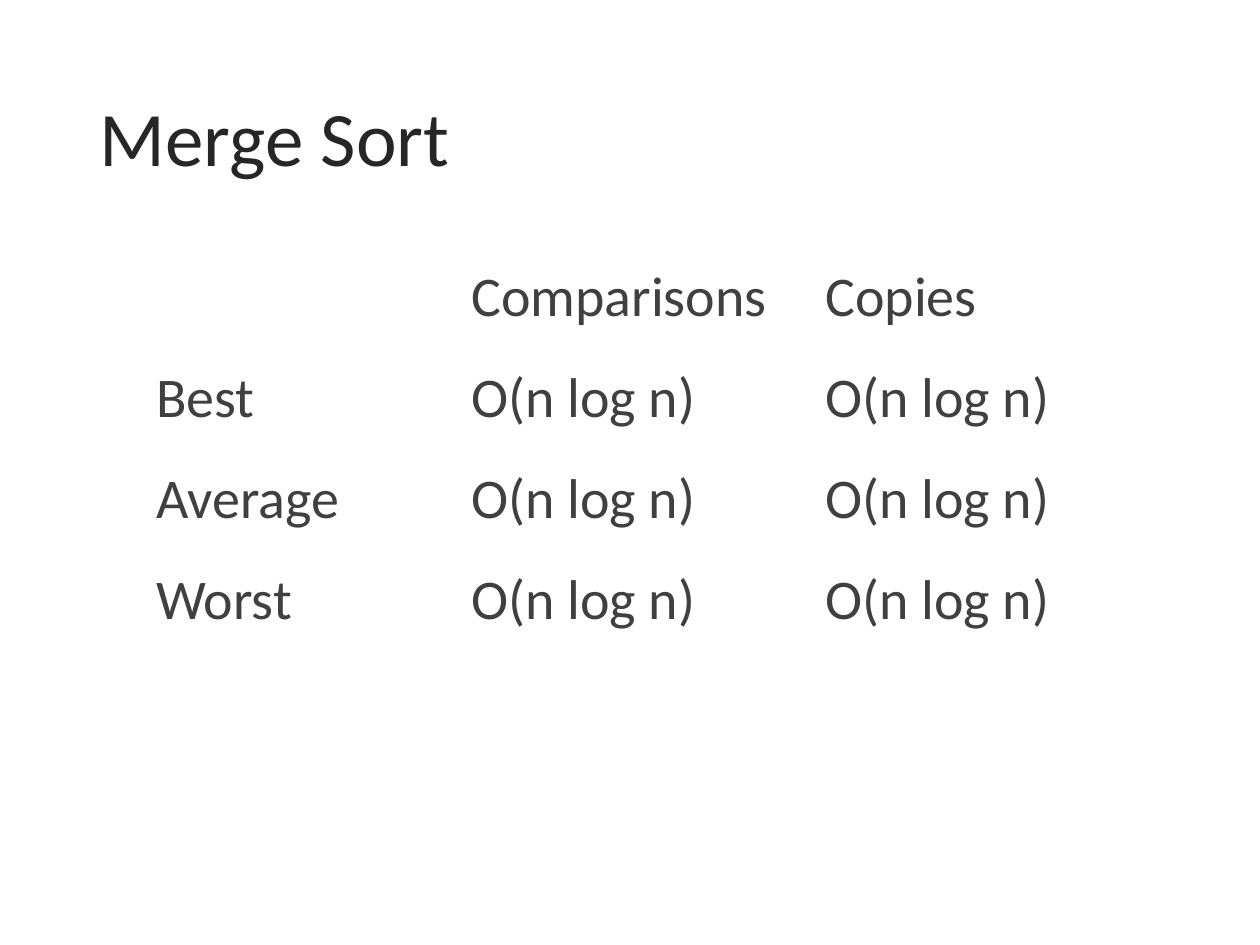
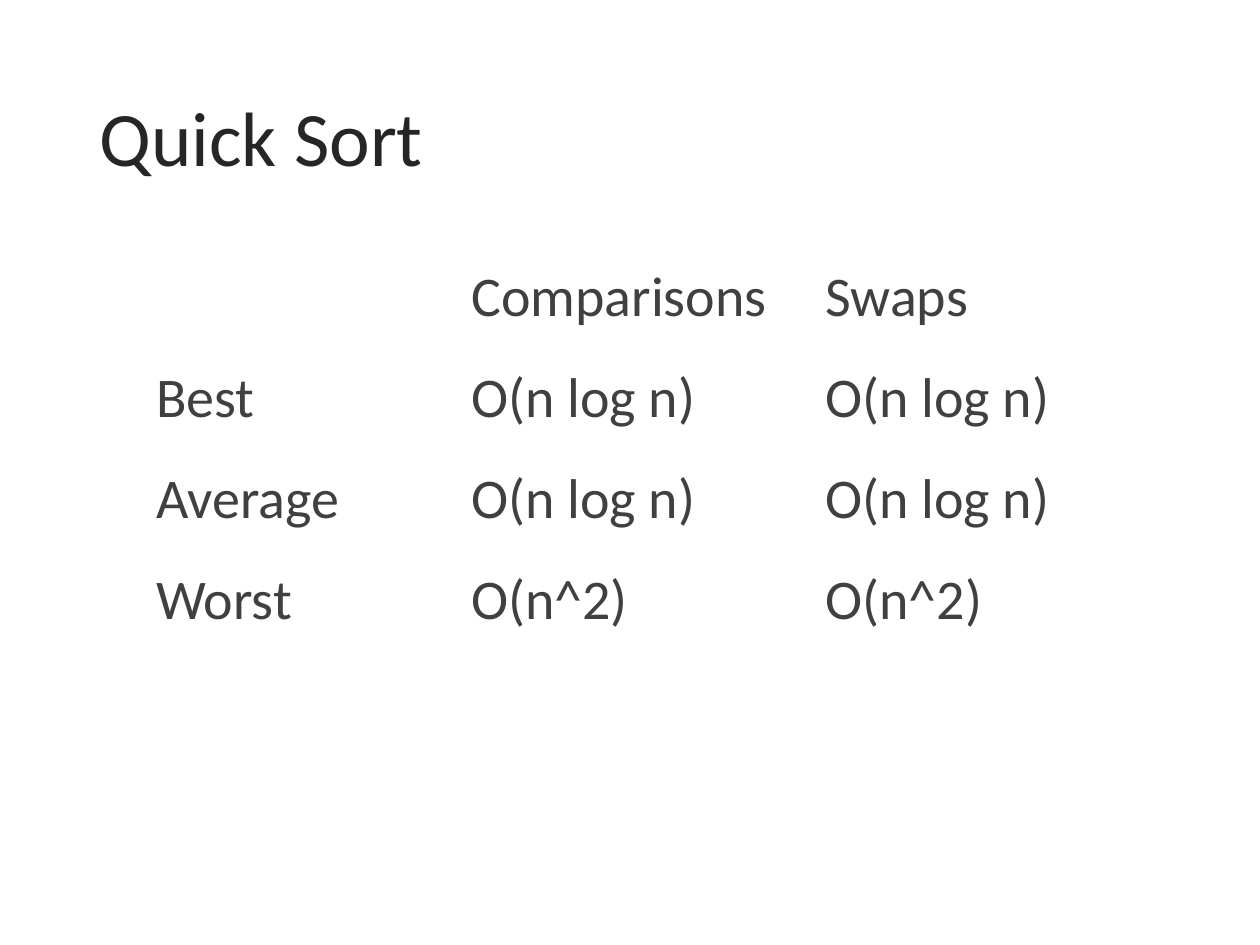
import pptx
import pptx.dml.color
import pptx.enum.text
import pptx.util
from pptx.util import Inches

TITLE_COLOR = "262626"
TEXT_COLOR = "404040"
COLUMN_WIDTHS = [2.5, 2.81, 2.42]
ROW_HEIGHT = 0.8

SORTS = [
    ("Merge Sort", [
        ["", "Comparisons", "Copies"],
        ["Best", "O(n log n)", "O(n log n)"],
        ["Average", "O(n log n)", "O(n log n)"],
        ["Worst", "O(n log n)", "O(n log n)"],
    ]),
    ("Quick Sort", [
        ["", "Comparisons", "Swaps"],
        ["Best", "O(n log n)", "O(n log n)"],
        ["Average", "O(n log n)", "O(n log n)"],
        ["Worst", "O(n^2)", "O(n^2)"],
    ]),
]


def set_font(paragraph, size, color):
    paragraph.font.name = "Calibri"
    paragraph.font.size = pptx.util.Pt(size)
    paragraph.font.color.rgb = pptx.dml.color.RGBColor.from_string(color)


presentation = pptx.Presentation()
presentation.slide_width = Inches(10)
presentation.slide_height = Inches(7.5)

for sort_name, rows in SORTS:
    slide = presentation.slides.add_slide(presentation.slide_layouts[5])

    title = slide.shapes.title
    title.left, title.top = Inches(0.69), Inches(0.4)
    title.width, title.height = Inches(8.62), Inches(1.45)
    title.text_frame.text = sort_name
    title.text_frame.vertical_anchor = pptx.enum.text.MSO_ANCHOR.MIDDLE
    paragraph = title.text_frame.paragraphs[0]
    paragraph.alignment = pptx.enum.text.PP_ALIGN.LEFT
    paragraph.line_spacing = 0.9
    set_font(paragraph, 44, TITLE_COLOR)

    table = slide.shapes.add_table(
        len(rows), len(COLUMN_WIDTHS), Inches(1.14), Inches(2.04),
        Inches(sum(COLUMN_WIDTHS)), Inches(ROW_HEIGHT * len(rows))).table
    table.first_row = False
    table.horz_banding = False
    for column, width in zip(table.columns, COLUMN_WIDTHS):
        column.width = Inches(width)

    for row_index, row in enumerate(rows):
        for column_index, text in enumerate(row):
            cell = table.cell(row_index, column_index)
            cell.fill.background()
            cell.text = text
            set_font(cell.text_frame.paragraphs[0], 32, TEXT_COLOR)

presentation.save("out.pptx")
